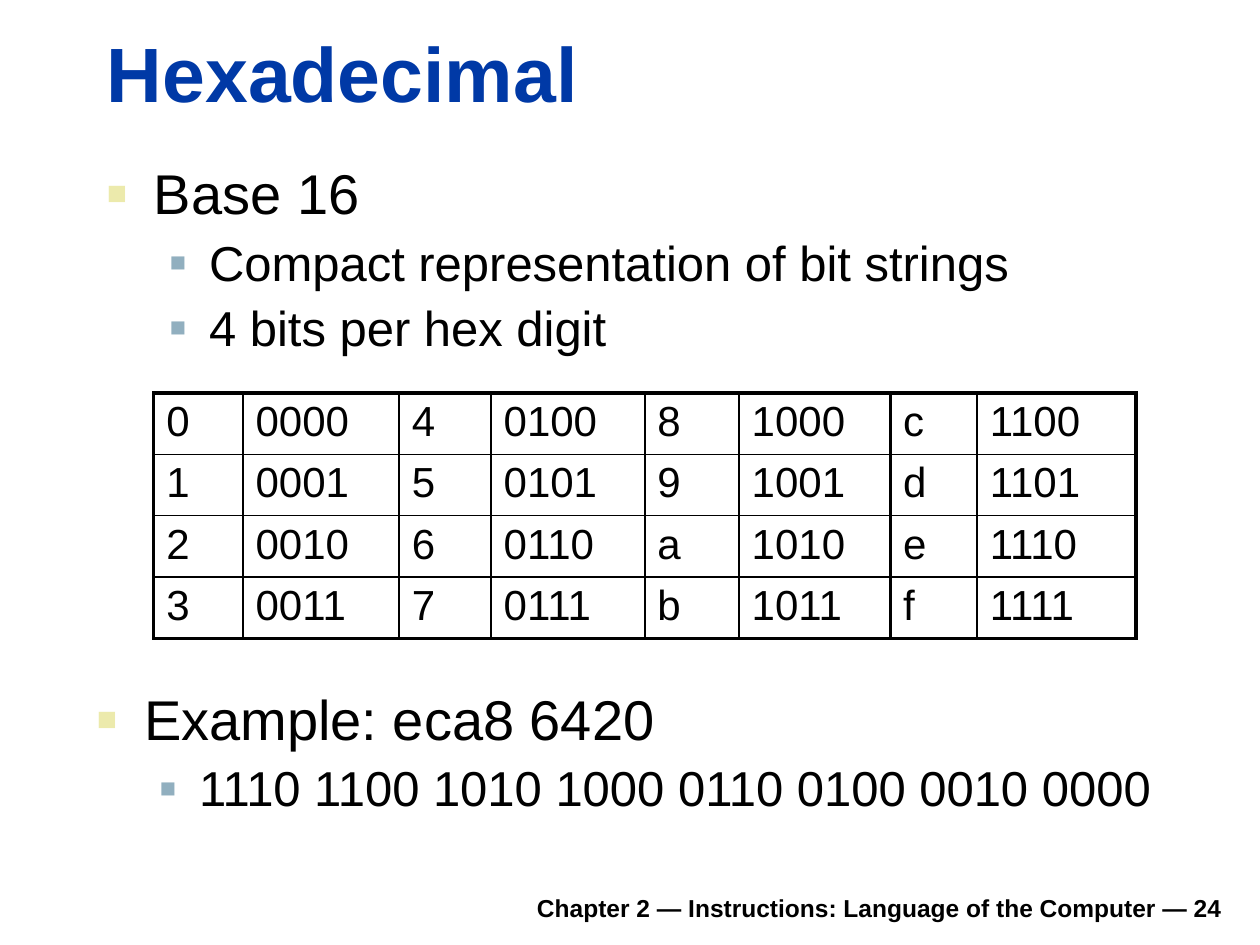
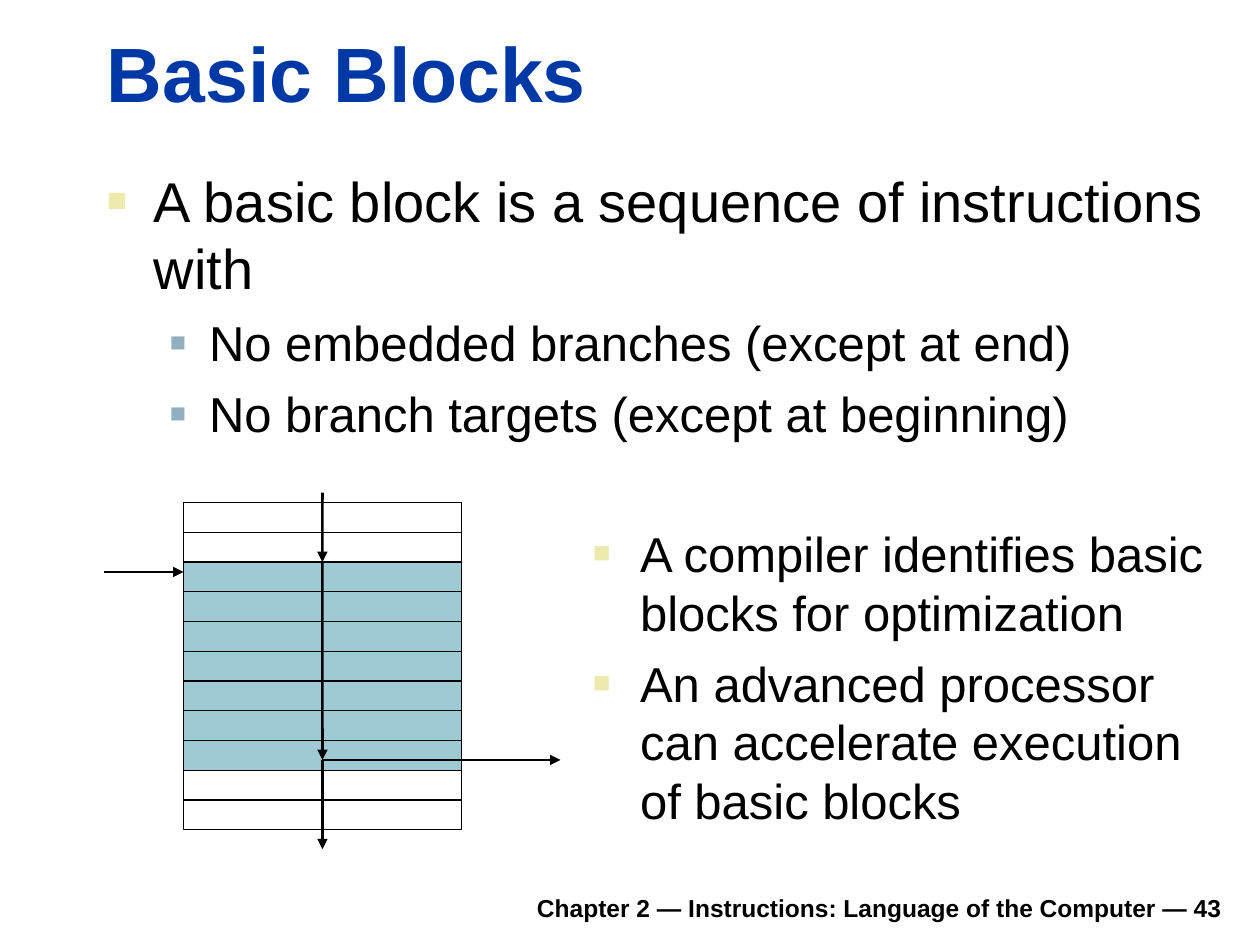
from lxml.etree import SubElement
from pptx import Presentation
from pptx.dml.color import RGBColor
from pptx.enum.shapes import MSO_CONNECTOR, MSO_SHAPE
from pptx.enum.text import MSO_ANCHOR, MSO_AUTO_SIZE, PP_ALIGN
from pptx.oxml.ns import qn
from pptx.util import Cm, Pt

FONT = "Arial"
BLACK = "000000"
TITLE_BLUE = "0039A6"
BLOCK_FILL = "9FCAD3"
# Per level: bullet colour, bullet size, left margin, hanging indent
BULLETS = [("ECEAAC", 60, 0.95, 0.95), ("91AFBF", 55, 2.06, 0.79)]
FOOTER = "Chapter 2 — Instructions: Language of the Computer — "


def color(hex_string):
    return RGBColor.from_string(hex_string)


def format_text(paragraph, size, hex_string=BLACK, bold=False):
    for run in paragraph.runs:
        run.font.name = FONT
        run.font.size = Pt(size)
        run.font.bold = bold
        run.font.color.rgb = color(hex_string)


# Content of each slide: boxes hold a position, line spacing and (level, size, text) items
slides = [
    {
        "title": "Hexadecimal",
        "number": 24,
        "boxes": [
            ((1.9, 3.22, 23, 4.4), 0.9, [
                (0, 32, "Base 16"),
                (1, 28, "Compact representation of bit strings"),
                (1, 28, "4 bits per hex digit"),
            ]),
            ((1.7, 13.82, 23, 3.2), 0.9, [
                (0, 32, "Example: eca8 6420"),
                (1, 28, "1110 1100 1010 1000 0110 0100 0010 0000"),
            ]),
        ],
    },
    {
        "title": "Basic Blocks",
        "number": 43,
        "boxes": [
            ((1.9, 3.22, 23, 6.4), 1.0, [
                (0, 32, "A basic block is a sequence of instructions with"),
                (1, 28, "No embedded branches (except at end)"),
                (1, 28, "No branch targets (except at beginning)"),
            ]),
            ((11.7, 10.42, 13, 6.6), 1.0, [
                (0, 28, "A compiler identifies basic blocks for optimization"),
                (0, 28, "An advanced processor can accelerate execution of basic blocks"),
            ]),
        ],
    },
]

presentation = Presentation()
presentation.slide_width = Cm(25.4)
presentation.slide_height = Cm(19.05)
two_content_layout = presentation.slide_layouts[3]

# Title, lists and footer of every slide
for content in slides:
    slide = presentation.slides.add_slide(two_content_layout)

    title = slide.shapes.title
    title.left, title.top, title.width, title.height = Cm(1.9), Cm(0.4), Cm(22.95), Cm(2.1)
    title.text_frame.text = content["title"]
    title.text_frame.auto_size = MSO_AUTO_SIZE.NONE
    title.text_frame.vertical_anchor = MSO_ANCHOR.BOTTOM
    title.text_frame.paragraphs[0].alignment = PP_ALIGN.LEFT
    format_text(title.text_frame.paragraphs[0], 44, TITLE_BLUE, bold=True)

    for index, (position, line_spacing, items) in enumerate(content["boxes"], start=1):
        body = slide.placeholders[index]
        body.left, body.top, body.width, body.height = [Cm(length) for length in position]
        text_frame = body.text_frame
        text_frame.text = "\n".join(text for level, size, text in items)
        text_frame.auto_size = MSO_AUTO_SIZE.NONE
        for number, (level, size, text) in enumerate(items):
            paragraph = text_frame.paragraphs[number]
            bullet_color, bullet_size, margin, indent = BULLETS[level]
            properties = paragraph._p.get_or_add_pPr()
            properties.set("marL", str(Cm(margin)))
            properties.set("indent", str(-Cm(indent)))
            bullet_fill = SubElement(properties, qn("a:buClr"))
            SubElement(bullet_fill, qn("a:srgbClr"), val=bullet_color)
            SubElement(properties, qn("a:buSzPct"), val=str(bullet_size * 1000))
            SubElement(properties, qn("a:buFont"), typeface=FONT)
            SubElement(properties, qn("a:buChar"), char="■")
            paragraph.level = level
            paragraph.line_spacing = line_spacing
            paragraph.space_before = Pt(7 if number else 0)
            format_text(paragraph, size)

    footer = slide.shapes.add_textbox(Cm(4.7), Cm(17.73), Cm(20.19), Cm(1))
    footer.text_frame.word_wrap = True
    footer.text_frame.vertical_anchor = MSO_ANCHOR.BOTTOM
    footer.text_frame.text = f"{FOOTER}{content['number']}"
    footer.text_frame.paragraphs[0].alignment = PP_ALIGN.RIGHT
    format_text(footer.text_frame.paragraphs[0], 14, bold=True)

hexadecimal_slide, blocks_slide = presentation.slides

# Table of hex digits: four pairs of digit and bits, counting down each pair
column_widths = [1.8, 3.15, 1.85, 3.1, 1.9, 3.05, 1.75, 3.2]
row_count, column_count = 4, len(column_widths)
graphic_frame = hexadecimal_slide.shapes.add_table(
    row_count, column_count, Cm(3.1), Cm(7.92), Cm(sum(column_widths)), Cm(4.8))
table = graphic_frame.table
table.first_row = False
table.horz_banding = False
for column, width in zip(table.columns, column_widths):
    column.width = Cm(width)

# Line widths: thick outside, medium between pairs, thin elsewhere
vertical_lines = [2.25, 1, 1.5, 1, 1.5, 1, 1.5, 1, 2.25]
horizontal_lines = [2.25, 1, 1, 1, 2.25]
for row in range(row_count):
    table.rows[row].height = Cm(1.2)
    for column in range(column_count):
        value = row_count * (column // 2) + row
        cell = table.cell(row, column)
        cell.text_frame.text = f"{value:04b}" if column % 2 else f"{value:x}"
        format_text(cell.text_frame.paragraphs[0], 24)
        cell.margin_top = cell.margin_bottom = Cm(0.11)
        cell_properties = cell._tc.get_or_add_tcPr()
        borders = {
            "a:lnL": vertical_lines[column],
            "a:lnR": vertical_lines[column + 1],
            "a:lnT": horizontal_lines[row],
            "a:lnB": horizontal_lines[row + 1],
        }
        for tag, width in borders.items():
            border = SubElement(cell_properties, qn(tag), w=str(Pt(width)))
            border_fill = SubElement(border, qn("a:solidFill"))
            SubElement(border_fill, qn("a:srgbClr"), val=BLACK)
        cell.fill.background()

# Stack of instructions, with the basic block filled
instruction_height = 0.6
stack_top = 10.13
block_rows = range(2, 9)
instructions = []
for row in range(11):
    instruction = blocks_slide.shapes.add_shape(
        MSO_SHAPE.RECTANGLE, Cm(3.7), Cm(stack_top + row * instruction_height),
        Cm(5.6), Cm(instruction_height))
    instruction.shadow.inherit = False
    instruction.line.color.rgb = color(BLACK)
    instruction.line.width = Pt(0.75)
    if row in block_rows:
        instruction.fill.solid()
        instruction.fill.fore_color.rgb = color(BLOCK_FILL)
    else:
        instruction.fill.background()
    instructions.append(instruction)

# Arrows of control flow: into, through, past, out of and jumping to the block
block_start = instructions[block_rows[0]]
center, entry, branch = 6.5, 11.33, 15.32
arrows = []
for start_x, start_y, end_x, end_y in [
    (center, 9.93, center, entry),
    (center, entry, center, branch),
    (center, branch, center, 17.12),
    (center, branch, 11.3, branch),
    (2.1, 11.53, 3.7, 11.53),
]:
    arrow = blocks_slide.shapes.add_connector(
        MSO_CONNECTOR.STRAIGHT, Cm(start_x), Cm(start_y), Cm(end_x), Cm(end_y))
    arrow.line.color.rgb = color(BLACK)
    arrow.line.width = Pt(1.5)
    SubElement(arrow.line._get_or_add_ln(), qn("a:tailEnd"), type="triangle")
    SubElement(arrow._element.spPr, qn("a:effectLst"))
    arrows.append(arrow)
arrows[0].end_connect(block_start, 0)
arrows[1].begin_connect(block_start, 0)

presentation.save("out.pptx")
